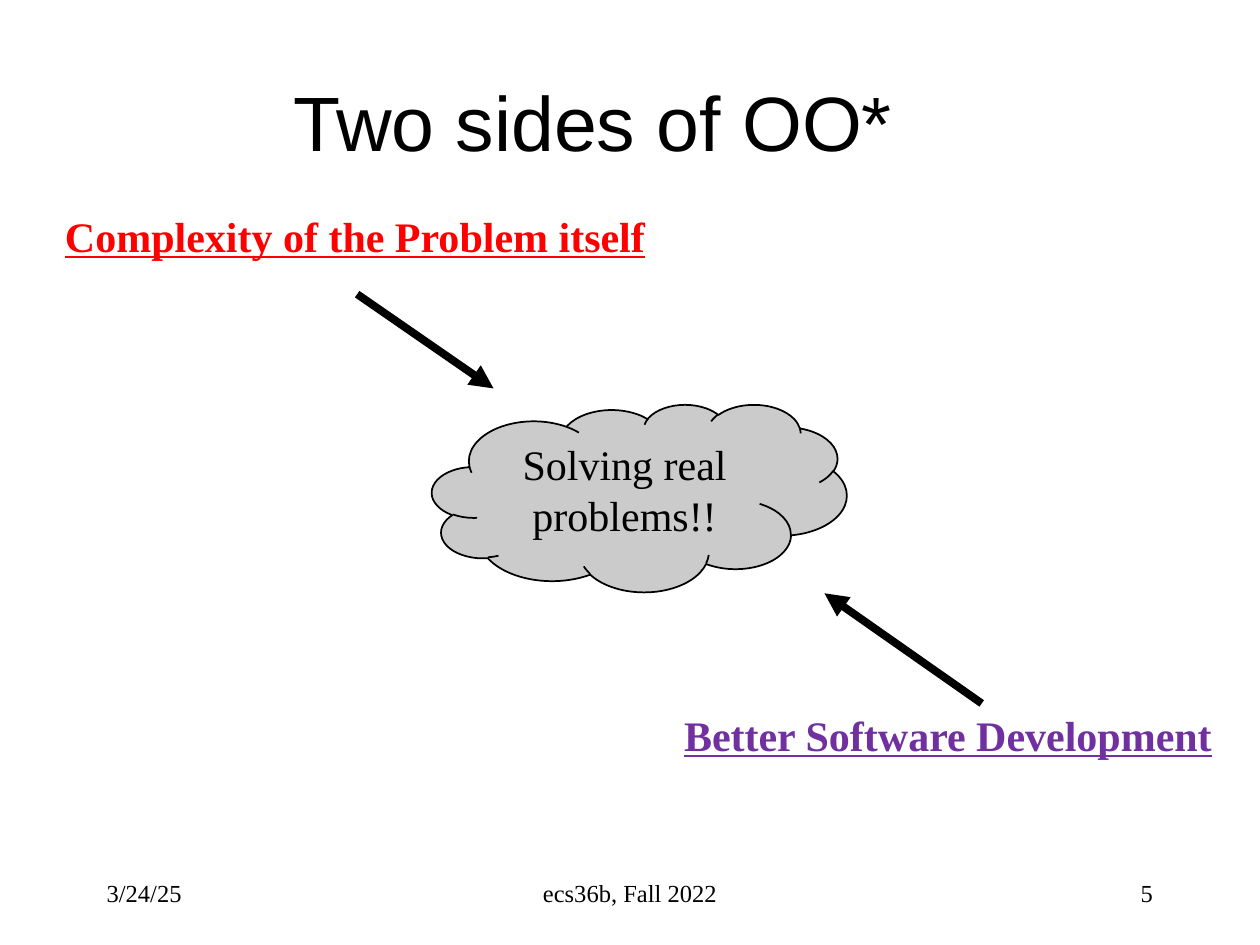
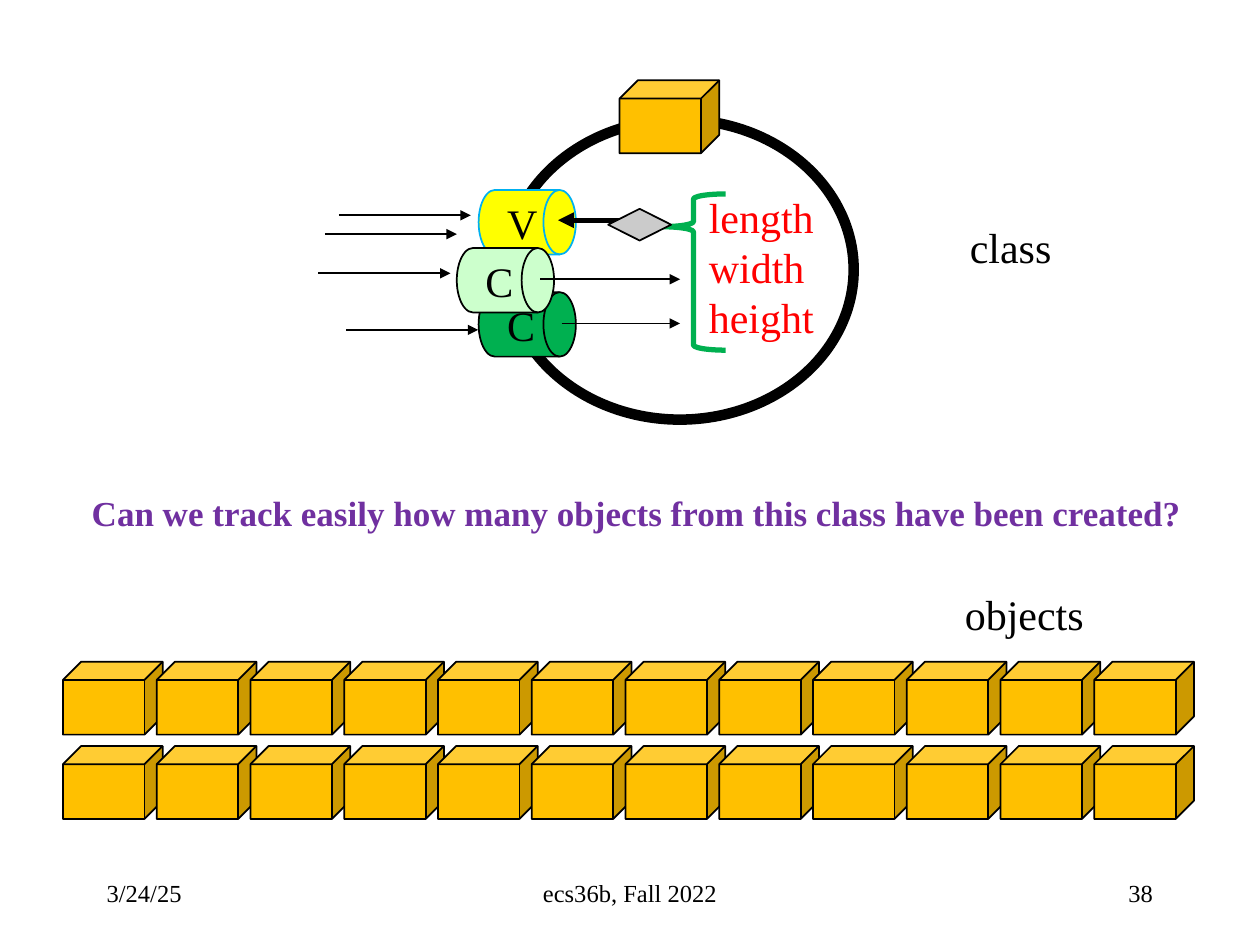
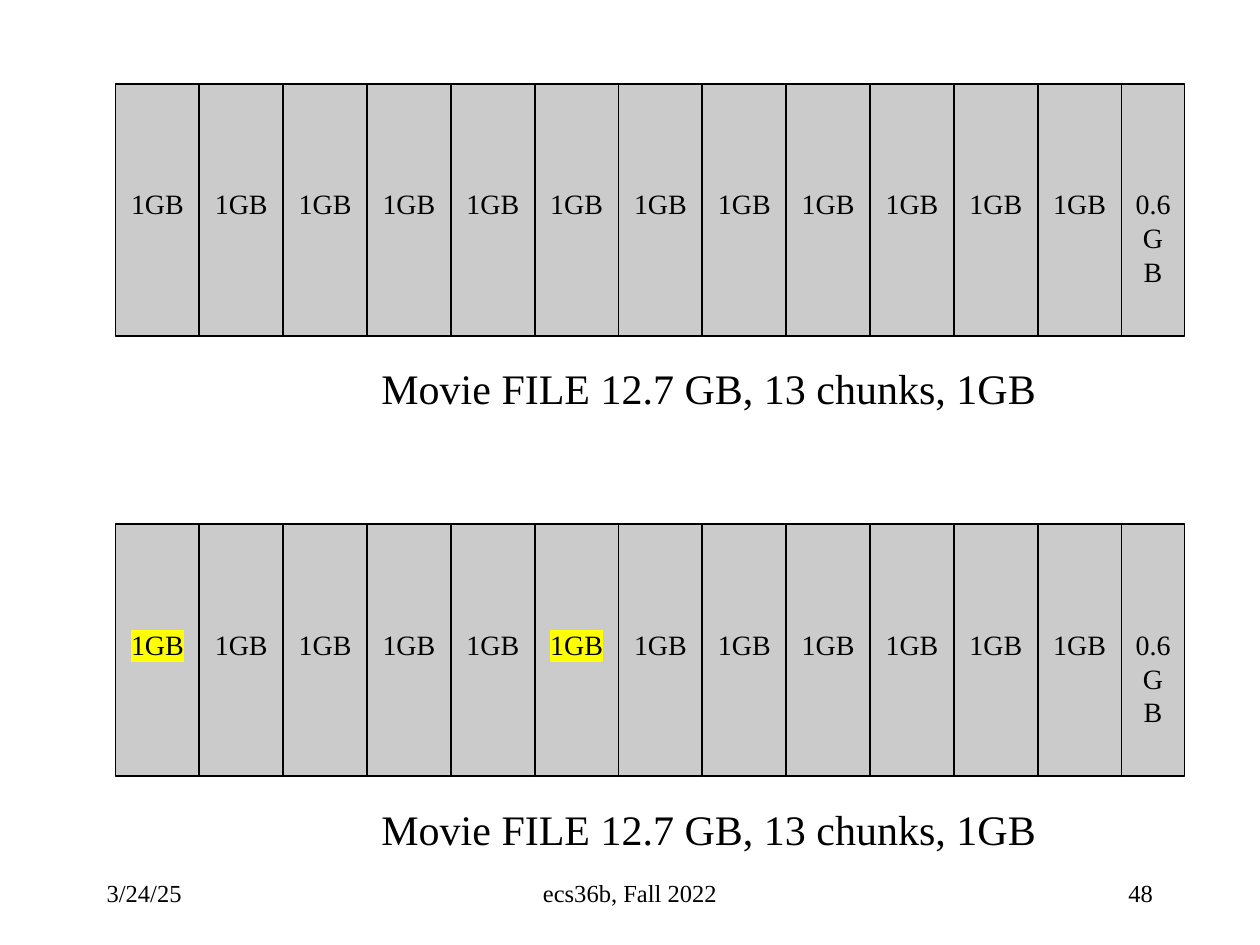
from lxml.etree import SubElement
from pptx import Presentation
from pptx.dml.color import RGBColor
from pptx.enum.shapes import MSO_CONNECTOR, MSO_SHAPE as SHAPE
from pptx.enum.text import MSO_ANCHOR as ANCHOR, MSO_AUTO_SIZE, PP_ALIGN as ALIGN
from pptx.oxml.ns import qn
from pptx.util import Cm, Pt

COLORS = {
    "ink": "000000",
    "red": "FF0000",
    "purple": "7030A0",
    "gray": "CBCBCB",
    "yellow": "FFFF00",
    "sky": "00B0F0",
    "green": "00B050",
    "mint": "CCFFCC",
    "gold": "FFC000",
}
SERIF, SANS = "Times New Roman", "Arial"
TITLE_ONLY, BLANK = 5, 6
CUBE_W, CUBE_H = 2.01, 1.47


def rgb(name):
    return RGBColor.from_string(COLORS[name])


def write(frame, text, size=24, color="ink", align=ALIGN.LEFT, font=SERIF,
          bold=False, underline=False):
    frame.text = text
    for paragraph in frame.paragraphs:
        paragraph.alignment = align
        for run in paragraph.runs:
            run.font.name = font
            run.font.size = Pt(size)
            run.font.bold = bold
            run.font.underline = underline
            run.font.color.rgb = rgb(color)


def add_label(slide, left, top, width, height, text, **style):
    """Add a one-column label that grows with its text."""
    box = slide.shapes.add_textbox(Cm(left), Cm(top), Cm(width), Cm(height))
    write(box.text_frame, text, **style)
    box.text_frame.word_wrap = False
    box.text_frame.auto_size = MSO_AUTO_SIZE.SHAPE_TO_FIT_TEXT


def add_figure(slide, kind, left, top, width, height, fill=None, line="ink", weight=1):
    figure = slide.shapes.add_shape(kind, Cm(left), Cm(top), Cm(width), Cm(height))
    figure.shadow.inherit = False
    if fill:
        figure.fill.solid()
        figure.fill.fore_color.rgb = rgb(fill)
    else:
        figure.fill.background()
    figure.line.color.rgb = rgb(line)
    figure.line.width = Pt(weight)
    figure.text_frame.vertical_anchor = ANCHOR.TOP
    return figure


def add_arrow(slide, x1, y1, x2, y2, weight=1):
    arrow = slide.shapes.add_connector(
        MSO_CONNECTOR.STRAIGHT, Cm(x1), Cm(y1), Cm(x2), Cm(y2))
    arrow.line.color.rgb = rgb("ink")
    arrow.line.width = Pt(weight)
    SubElement(arrow.line._get_or_add_ln(), qn("a:tailEnd"), type="triangle")
    SubElement(arrow._element.spPr, qn("a:effectLst"))


def add_cube(slide, left, top):
    add_figure(slide, SHAPE.CUBE, left, top, CUBE_W, CUBE_H, "gold")


def add_footer(slide, number):
    for left, width, text, align in (
        (1.9, 5.29, "3/24/25", ALIGN.LEFT),
        (8.68, 8.04, "ecs36b, Fall 2022", ALIGN.CENTER),
        (18.2, 5.29, str(number), ALIGN.RIGHT),
    ):
        box = slide.shapes.add_textbox(Cm(left), Cm(17.36), Cm(width), Cm(1.27))
        box.text_frame.word_wrap = True
        box.text_frame.vertical_anchor = ANCHOR.MIDDLE
        write(box.text_frame, text, size=14, align=align)


def new_slide(deck, layout, number):
    slide = deck.slides.add_slide(deck.slide_layouts[layout])
    add_footer(slide, number)
    return slide


def build_two_sides(deck):
    slide = new_slide(deck, TITLE_ONLY, 5)
    title = slide.shapes.title
    title.left, title.top, title.width, title.height = Cm(3.17), Cm(0.85), Cm(17.57), Cm(3.17)
    title.text_frame.vertical_anchor = ANCHOR.MIDDLE
    write(title.text_frame, "Two sides of OO*", size=44, align=ALIGN.CENTER, font=SANS)

    add_label(slide, 13.54, 14.18, 11.25, 1.3, "Better Software Development",
              color="purple", bold=True, underline=True)
    add_label(slide, 1.06, 4.12, 12.32, 1.3, "Complexity of the Problem itself",
              color="red", bold=True, underline=True)
    add_arrow(slide, 7.2, 5.93, 9.95, 7.83, weight=4.5)
    add_arrow(slide, 19.79, 14.18, 16.62, 11.96, weight=4.5)
    goal = add_figure(slide, SHAPE.CLOUD, 8.71, 8.15, 8.36, 3.78, "gray")
    write(goal.text_frame, "Solving real problems!!", align=ALIGN.CENTER)


def add_method(slide, left, top, letter, fill, line="ink"):
    drum = add_figure(slide, SHAPE.FLOWCHART_DIRECT_ACCESS_STORAGE,
                      left, top, 1.96, 1.3, fill, line)
    write(drum.text_frame, letter)
    drum.text_frame.word_wrap = False
    drum.text_frame.vertical_anchor = ANCHOR.MIDDLE


def add_class_diagram(slide, left, top):
    add_figure(slide, SHAPE.OVAL, left + 3.78, top + 0.79, 7.01, 6.05, weight=6)
    add_method(slide, left + 3.23, top + 2.21, "V", "yellow", "sky")
    add_method(slide, left + 3.23, top + 4.27, "C", "green")
    add_method(slide, left + 2.79, top + 3.38, "C", "mint")

    for x, y in ((0.41, 2.72), (0.13, 3.1), (0, 3.89), (0.56, 5.03)):
        add_arrow(slide, left + x, top + y, left + x + 2.66, top + y)
    for start, end, y, weight in (
        (6.65, 4.83, 2.82, 3), (4.47, 7.29, 4.01, 1), (4.9, 7.29, 4.9, 1),
    ):
        add_arrow(slide, left + start, top + y, left + end, top + y, weight)

    add_label(slide, left + 7.62, top + 2.11, 2.64, 3.33, "length\nwidth\nheight", color="red")
    add_cube(slide, left + 6.07, top)
    brace = add_figure(slide, SHAPE.LEFT_BRACE, left + 6.91, top + 2.29, 1.3, 3.15,
                       line="green", weight=3)
    brace.adjustments[0], brace.adjustments[1] = 0.08, 0.21
    add_figure(slide, SHAPE.DIAMOND, left + 5.84, top + 2.59, 1.27, 0.64, "gray")
    add_label(slide, left + 12.88, top + 2.72, 2.18, 1.3, "class")


def add_object_grid(slide, left, top, rows=2, columns=12):
    for row in range(rows):
        for column in range(columns):
            add_cube(slide, left + column * 1.89, top + row * 1.7)


def build_class_and_objects(deck):
    slide = new_slide(deck, BLANK, 38)
    add_class_diagram(slide, 6.42, 1.62)
    add_object_grid(slide, 1.27, 13.34)
    add_label(slide, 19.2, 11.73, 2.92, 1.3, "objects")
    add_label(slide, 1.6, 9.78, 22.63, 1.12,
              "Can we track easily how many objects from this class have been created?",
              size=20, color="purple", bold=True)


def highlight(run, color):
    mark = SubElement(run.font._element, qn("a:highlight"))
    SubElement(mark, qn("a:srgbClr"), val=COLORS[color])
    run.font._element.find(qn("a:solidFill")).addnext(mark)


def add_movie_file(slide, left, top, marked=()):
    """Draw the file as a strip of chunks, highlighting the marked ones."""
    full_width = 1.69
    chunks = [("1GB", full_width)] * 12 + [("0.6GB", 1.27)]
    for index, (size, width) in enumerate(chunks):
        chunk = add_figure(slide, SHAPE.RECTANGLE, left + index * full_width, top,
                           width, 5.08, "gray")
        chunk.text_frame.margin_top = Cm(2.08)
        write(chunk.text_frame, size, size=16, align=ALIGN.CENTER)
        if index in marked:
            highlight(chunk.text_frame.paragraphs[0].runs[0], "yellow")
    add_label(slide, left + 5.11, top + 5.5, 13.74, 1.27,
              "Movie FILE 12.7 GB, 13 chunks, 1GB")


def build_movie_chunks(deck):
    slide = new_slide(deck, BLANK, 48)
    add_movie_file(slide, 2.33, 1.69)
    add_movie_file(slide, 2.33, 10.57, marked=(0, 5))


def main():
    deck = Presentation()
    deck.slide_width, deck.slide_height = Cm(25.4), Cm(19.05)
    build_two_sides(deck)
    build_class_and_objects(deck)
    build_movie_chunks(deck)
    deck.save("out.pptx")


if __name__ == "__main__":
    main()
